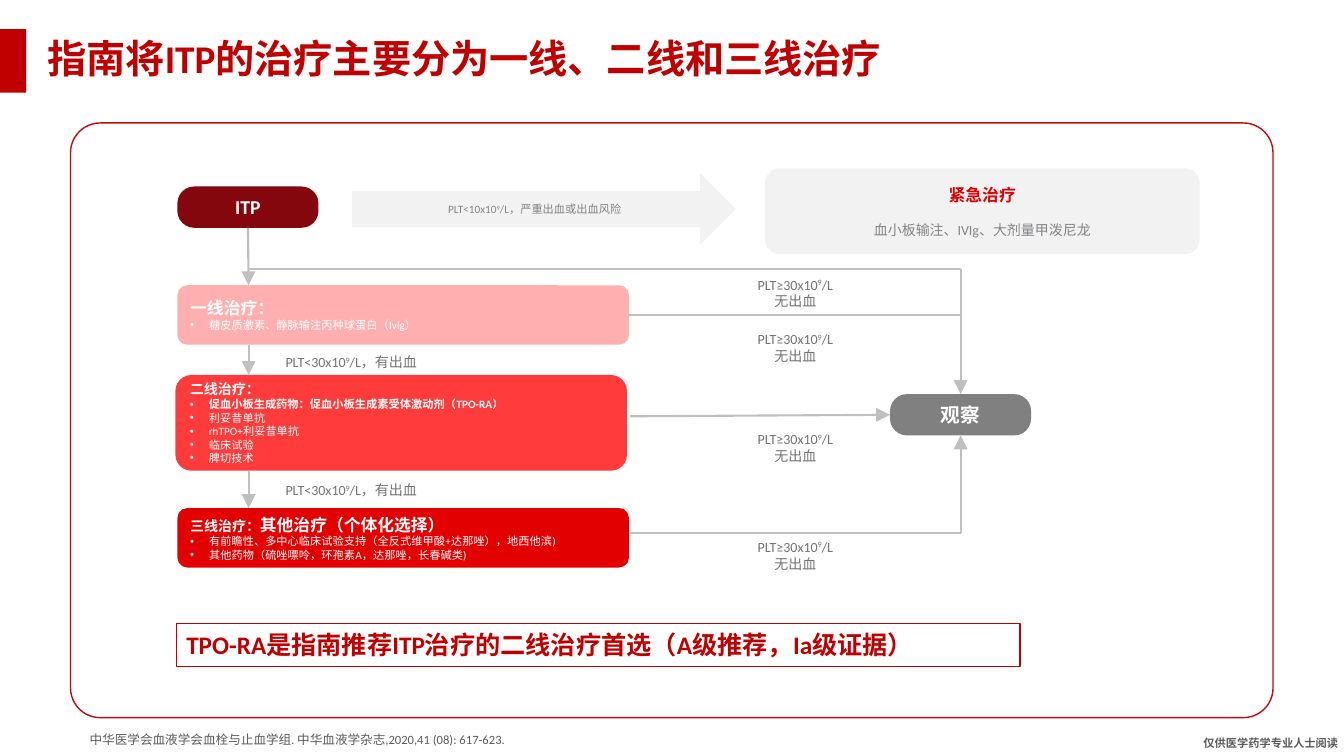
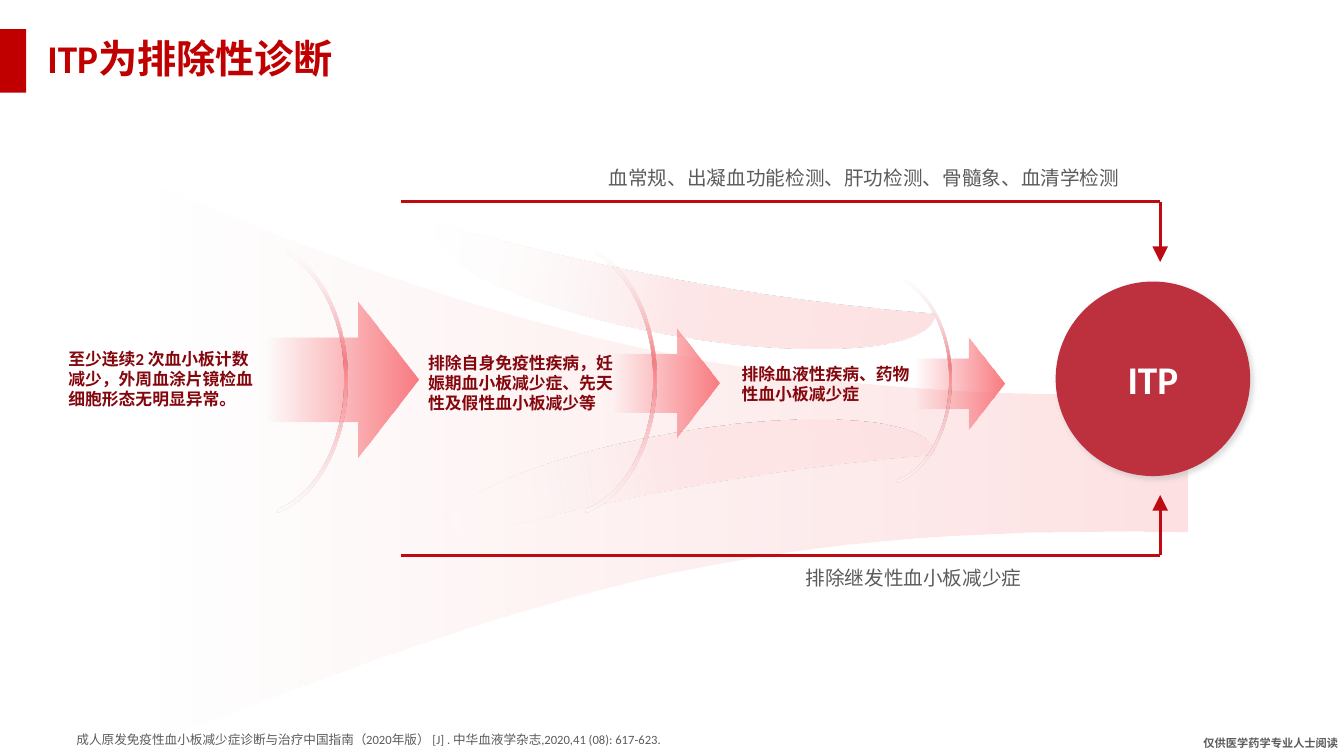
from dataclasses import dataclass
from math import cos, radians, sin

from lxml import etree
from pptx import Presentation
from pptx.dml.color import RGBColor
from pptx.enum.shapes import MSO_CONNECTOR, MSO_SHAPE
from pptx.enum.text import MSO_ANCHOR, MSO_AUTO_SIZE, PP_ALIGN
from pptx.oxml.ns import qn
from pptx.util import Emu, Pt

STRAIGHT = MSO_CONNECTOR.STRAIGHT
RECTANGLE, ROUNDED, OVAL = MSO_SHAPE.RECTANGLE, MSO_SHAPE.ROUNDED_RECTANGLE, MSO_SHAPE.OVAL
BLOCK_ARROW, BLOCK_ARC = MSO_SHAPE.RIGHT_ARROW, MSO_SHAPE.BLOCK_ARC
LEFT, CENTER, JUSTIFY = PP_ALIGN.LEFT, PP_ALIGN.CENTER, PP_ALIGN.JUSTIFY
TOP, MIDDLE, BOTTOM = MSO_ANCHOR.TOP, MSO_ANCHOR.MIDDLE, MSO_ANCHOR.BOTTOM
SIDE_TOP, SIDE_LEFT, SIDE_BOTTOM, SIDE_RIGHT = range(4)

# The page is a grid of square cells; every length below counts cells.
COLUMNS, ROWS, CELL = 80, 45, 152400


@dataclass(frozen=True)
class Theme:
    font: str = "Calibri"
    red: str = "C00000"
    line_red: str = "BE0A13"
    dark_red: str = "84070D"
    strong_red: str = "E20000"
    mid_red: str = "FF3B3B"
    soft_red: str = "FFAFAF"
    circle_red: str = "BD313E"
    glow: str = "F97B81"
    blush: str = "FEE2E3"
    pale_blush: str = "FEE7E8"
    white: str = "FFFFFF"
    panel: str = "F2F2F2"
    shadow: str = "A6A6A6"
    flow_line: str = "BFBFBF"
    gray: str = "808080"
    ink: str = "5C5A5D"
    label_ink: str = "757276"
    soft_ink: str = "858286"
    title: int = 28
    banner: int = 18
    large: int = 14
    medium: int = 12
    small: int = 10
    source: int = 9
    tiny: int = 8


THEME = Theme()


@dataclass
class Para:
    """One paragraph; ^ before a character raises it."""
    text: str
    size: int
    color: str = THEME.white
    bold: bool = False
    align: PP_ALIGN = LEFT
    bullet: bool = False
    before: int = 0


def cells(*counts):
    return [Emu(round(count * CELL)) for count in counts]


def rgb(color):
    return RGBColor.from_string(color)


def add_bullet(para):
    properties = para._p.get_or_add_pPr()
    properties.set("marL", "171450")
    properties.set("indent", "-171450")
    etree.SubElement(properties, qn("a:buFont")).set("typeface", "Arial")
    etree.SubElement(properties, qn("a:buChar")).set("char", "•")


def add_spans(para, text):
    plain, *raised = text.split("^")
    para.add_run().text = plain
    for part in raised:
        span = para.add_run()
        span.text = part[0]
        span._r.get_or_add_rPr().set("baseline", "30000")
        para.add_run().text = part[1:]


def write(shape, paras, anchor=MIDDLE):
    frame = shape.text_frame
    frame.word_wrap = True
    frame.auto_size = MSO_AUTO_SIZE.NONE
    frame.vertical_anchor = anchor
    for index, item in enumerate(paras):
        para = frame.add_paragraph() if index else frame.paragraphs[0]
        para.alignment = item.align
        if item.before:
            para.space_before = Pt(item.before)
        if item.bullet:
            add_bullet(para)
        font = para.font
        font.name, font.size, font.bold = THEME.font, Pt(item.size), item.bold
        font.color.rgb = rgb(item.color)
        add_spans(para, item.text)
    return frame.paragraphs


def add_box(page, kind, area, fill=None, line=None, weight=1.0, adjust=()):
    box = page.shapes.add_shape(kind, *cells(*area))
    box.shadow.inherit = False
    for index, value in enumerate(adjust):
        box.adjustments[index] = value
    if fill:
        box.fill.solid()
        box.fill.fore_color.rgb = rgb(fill)
    else:
        box.fill.background()
    if line:
        box.line.color.rgb = rgb(line)
        box.line.width = Pt(weight)
    else:
        box.line.fill.background()
    return box


def add_text(page, area, paras, anchor=TOP):
    box = page.shapes.add_textbox(*cells(*area))
    write(box, paras, anchor)
    return box


def add_line(page, start, end, color, weight, arrow=False, begin=None, finish=None):
    """Draw a line; begin and finish are (shape, side) pairs to join."""
    line = page.shapes.add_connector(STRAIGHT, *cells(*start, *end))
    if begin:
        line.begin_connect(*begin)
    if finish:
        line.end_connect(*finish)
    line.line.color.rgb = rgb(color)
    line.line.width = Pt(weight)
    properties = line.element.spPr
    if arrow:
        etree.SubElement(properties.find(qn("a:ln")), qn("a:tailEnd"), type="triangle", w="lg", len="lg")
    etree.SubElement(properties, qn("a:effectLst"))


def add_color(parent, color, alpha):
    node = etree.SubElement(parent, qn("a:srgbClr"), val=color)
    etree.SubElement(node, qn("a:alpha"), val=str(alpha * 1000))


def set_gradient(shape, angle, stops):
    """Fill with (position, colour, opacity) stops, all in percent."""
    shape.fill.gradient()
    shape.fill.gradient_angle = angle
    stop_list = shape.element.spPr.find(qn("a:gradFill")).find(qn("a:gsLst"))
    for stop in list(stop_list):
        stop_list.remove(stop)
    for position, color, alpha in stops:
        add_color(etree.SubElement(stop_list, qn("a:gs"), pos=str(position * 1000)), color, alpha)


def add_drop_shadow(shape):
    effects = shape.element.spPr.find(qn("a:effectLst"))
    shadow = etree.SubElement(effects, qn("a:outerShdw"), blurRad=str(Pt(4)),
                              dist=str(Pt(3)), dir="2700000", algn="tl", rotWithShape="0")
    add_color(shadow, THEME.shadow, 40)


def turned(point, degrees):
    x, y = point
    cosine, sine = cos(radians(degrees)), sin(radians(degrees))
    return x * cosine - y * sine, x * sine + y * cosine


def bend(shape, segments):
    """Join each three-point segment of a freeform into one cubic curve."""
    corners = iter(list(shape.element.iter(qn("a:lnTo"))))
    for segment in segments:
        nodes = [next(corners) for _ in segment]
        if len(nodes) == 3:
            curve = etree.Element(qn("a:cubicBezTo"))
            nodes[0].addprevious(curve)
            for node in nodes:
                curve.append(node[0])
                node.getparent().remove(node)


def add_outline(page, start, segments, rotation, angle, stops):
    """Outline of one-point lines and three-point curves, in a frame turned by rotation."""
    points = [start] + [point for segment in segments for point in segment]
    first, *rest = [cells(*turned(point, -rotation)) for point in points]
    builder = page.shapes.build_freeform(*first, scale=1.0)
    builder.add_line_segments(rest, close=True)
    shape = builder.convert_to_shape()
    bend(shape, segments)
    center = shape.left + shape.width / 2, shape.top + shape.height / 2
    x, y = turned(center, rotation)
    shape.left, shape.top = Emu(round(x - shape.width / 2)), Emu(round(y - shape.height / 2))
    shape.rotation = rotation
    shape.shadow.inherit = False
    shape.line.fill.background()
    set_gradient(shape, angle, stops)


def add_page(deck, title, source, source_left):
    page = deck.slides.add_slide(deck.slide_layouts[5])
    heading = page.shapes.title
    heading.left, heading.top, heading.width, heading.height = cells(2.22, 1.74, 58.92, 3.78)
    write(heading, [Para(title, THEME.title, THEME.red, True)])[0].line_spacing = 0.9
    add_text(page, (source_left, 43.26, 41, 1.5), [Para(source, THEME.source, THEME.ink)])
    return page


def furnish_layout(page):
    """Put the title band and the reader notice on the layout all pages share."""
    band = add_box(page, RECTANGLE, (0, 1.74, 1.56, 3.78), THEME.red)
    left = 71.04
    notice = add_text(page, (left, 43.56, COLUMNS - left, 1.44),
                      [Para("仅供医学药学专业人士阅读", THEME.tiny, THEME.ink, True)])
    notice.text_frame.margin_right = 0
    for shape in (band, notice):
        page.slide_layout.shapes.element.append(shape.element)


def add_pill(page, left, top, text, fill):
    pill = add_box(page, ROUNDED, (left, top, 8.4, 2.46), fill, adjust=(0.41,))
    write(pill, [Para(text, THEME.large, bold=True, align=CENTER)])
    return pill


def add_treatment(page, left, top, height, fill, heading, size, items, key_item=None):
    box = add_box(page, ROUNDED, (left, top, 26.88, height), fill)
    bullets = [Para(item, THEME.tiny, bold=item == key_item, bullet=True) for item in items]
    return box, write(box, [Para(heading, size, bold=True), *bullets])


def draw_treatment(page):
    add_box(page, ROUNDED, (4.2, 7.32, 71.58, 35.4), line=THEME.line_red, adjust=(0.05,))
    start = add_pill(page, 10.56, 11.1, "ITP", THEME.dark_red)
    observe = add_pill(page, 52.98, 23.46, "观察", THEME.gray)
    first, _ = add_treatment(page, 10.56, 16.98, 3.54, THEME.soft_red, "一线治疗：", THEME.medium,
                             ["糖皮质激素、静脉输注丙种球蛋白（Ivlg）"])
    agonist = "促血小板生成药物：促血小板生成素受体激动剂（TPO-RA）"
    add_treatment(page, 10.44, 22.32, 5.7, THEME.mid_red, "二线治疗：", THEME.small,
                  [agonist, "利妥昔单抗", "rhTPO+利妥昔单抗", "临床试验", "脾切技术"], agonist)
    _, third_paras = add_treatment(
        page, 10.56, 30.24, 3.54, THEME.strong_red, "三线治疗：", THEME.small,
        ["有前瞻性、多中心临床试验支持（全反式维甲酸+达那唑），地西他滨)",
         "其他药物（硫唑嘌呤，环孢素A，达那唑，长春碱类)"])
    choice = third_paras[0].add_run()
    choice.text = "其他治疗（个体化选择）"
    choice.font.size = Pt(THEME.medium)

    emergency = add_box(page, ROUNDED, (45.54, 10.02, 25.86, 5.1), THEME.panel)
    write(emergency, [
        Para("紧急治疗", THEME.medium, THEME.strong_red, True, CENTER),
        Para("血小板输注、IVIg、大剂量甲泼尼龙", THEME.small, THEME.soft_ink, align=CENTER, before=12)])
    urgent = add_box(page, BLOCK_ARROW, (20.94, 10.32, 22.86, 4.26), THEME.panel)
    write(urgent, [Para("PLT<10x10^9/L，严重出血或出血风险", THEME.tiny, THEME.soft_ink, align=CENTER)])

    spine, watch, edge, branch, last = 14.8, 57.18, 37.5, 16.02, 31.74
    flow = (THEME.flow_line, 1.5)
    add_line(page, (spine, 13.56), (spine, 16.98), *flow, True, begin=(start, SIDE_BOTTOM))
    for top, bottom in ((20.52, 22.32), (28.02, 30.24)):
        add_line(page, (spine, top), (spine, bottom), *flow, True)
    add_line(page, (spine, branch), (watch, branch), *flow)
    add_line(page, (edge, 18.75), (watch, 18.75), *flow, begin=(first, SIDE_RIGHT))
    add_line(page, (edge, 24.78), (52.98, 24.69), *flow, True, finish=(observe, SIDE_LEFT))
    add_line(page, (edge, last), (watch, last), *flow)
    add_line(page, (watch, branch), (watch, 23.46), *flow, True, finish=(observe, SIDE_TOP))
    add_line(page, (watch, last), (watch, 25.92), *flow, True, finish=(observe, SIDE_BOTTOM))

    label = (THEME.small, THEME.label_ink, False, CENTER)
    for top in (16.14, 19.38, 25.32, 31.74):
        add_text(page, (42.3, top, 10.08, 2.64), [Para("PLT≥30x10^9/L", *label), Para("无出血", *label)])
    for top in (20.76, 28.36):
        add_text(page, (15.68, top, 10.44, 1.62), [Para("PLT<30x10^9/L，有出血", *label)])

    conclusion = add_box(page, RECTANGLE, (10.5, 37.14, 50.22, 2.52), line=THEME.red, weight=0.75)
    write(conclusion, [Para("TPO-RA是指南推荐ITP治疗的二线治疗首选（A级推荐，Ia级证据）",
                            THEME.banner, THEME.red, True, JUSTIFY)], TOP)


def draw_funnel(page):
    funnel = [((36.54, 22.98), (53.94, 23.7), (70.68, 23.46)), ((70.68, 31.68),),
              ((42.78, 31.08), (31.02, 35.94), (9.18, 44.16))]
    add_outline(page, (9.18, 10.92), funnel, 90, 90, [(0, THEME.blush, 0), (100, THEME.blush, 100)])

    start = (25.98, 13.32)
    streak = [((26.4, 13.44),), ((36.48, 16.2), (45.06, 17.64), (52.98, 18.42)),
              ((55.62, 18.66),), ((55.62, 18.78),),
              ((55.26, 20.82), (48.3, 21.36), (40.08, 19.92)),
              ((31.92, 18.54), (25.56, 15.72), (25.92, 13.62))]

    def mirror(point):
        return point[0], 45.72 - point[1]

    mirrored = [tuple(map(mirror, segment)) for segment in streak]
    for first, segments, rotation in ((start, streak, 9.8), (mirror(start), mirrored, -9.8)):
        add_outline(page, first, segments, rotation, 180,
                    [(0, THEME.blush, 100), (50, THEME.pale_blush, 100), (100, THEME.white, 0)])


def draw_diagnosis(page):
    draw_funnel(page)
    for area in ((15.84, 17.94, 9.06, 9.3), (36.48, 19.56, 6.36, 6.48), (54.42, 20.1, 5.34, 5.46)):
        arrow = add_box(page, BLOCK_ARROW, area, adjust=(0.54, 0.4))
        set_gradient(arrow, 0, [(0, THEME.glow, 0), (100, THEME.glow, 100)])
    for area in ((6.96, 17.04, 16.38, 11.1), (25.32, 17.04, 16.38, 11.1), (46.02, 18.3, 12.66, 8.58)):
        arc = add_box(page, BLOCK_ARC, area, adjust=(116.68, 210, 0.02))
        arc.rotation = 90
        set_gradient(arc, 180, [(0, THEME.white, 38), (57, THEME.glow, 100), (100, THEME.white, 3)])

    steps = (((3.48, 20.46, 12.3, 4.26), "至少连续2 次血小板计数减少，外周血涂片镜检血细胞形态无明显异常。"),
             ((24.9, 20.68, 12.6, 4.26), "排除自身免疫性疾病，妊娠期血小板减少症、先天性及假性血小板减少等"),
             ((43.56, 21.36, 12.06, 3), "排除血液性疾病、药物性血小板减少症"))
    for area, text in steps:
        add_text(page, area, [Para(text, THEME.medium, THEME.dark_red, True)])

    result = add_box(page, OVAL, (62.84, 16.76, 11.58, 11.58), THEME.circle_red)
    add_drop_shadow(result)
    write(result, [Para("ITP", THEME.title, bold=True, align=CENTER)])

    checks = (((35.64, 9.76, 32.7, 1.8), "血常规、出凝血功能检测、肝功检测、骨髓象、血清学检测", 12, 15.6),
              ((47.36, 33.78, 14.4, 1.62), "排除继发性血小板减少症", 33.06, 29.46))
    for area, text, level, tip in checks:
        add_text(page, area, [Para(text, THEME.large, THEME.ink)], BOTTOM)
        add_line(page, (69.06, level), (23.88, level), THEME.line_red, 2.25)
        add_line(page, (69.06, level), (69.06, tip), THEME.line_red, 2.25, True)


def main():
    deck = Presentation()
    deck.slide_width, deck.slide_height = cells(COLUMNS, ROWS)
    treatment = add_page(deck, "指南将ITP的治疗主要分为一线、二线和三线治疗",
                         "中华医学会血液学会血栓与止血学组. 中华血液学杂志,2020,41 (08): 617-623.", 4.74)
    furnish_layout(treatment)
    draw_treatment(treatment)
    diagnosis = add_page(deck, "ITP为排除性诊断",
                         "成人原发免疫性血小板减少症诊断与治疗中国指南（2020年版） [J] . 中华血液学杂志,2020,41 (08): 617-623.",
                         3.96)
    draw_diagnosis(diagnosis)
    deck.save("out.pptx")


if __name__ == "__main__":
    main()
